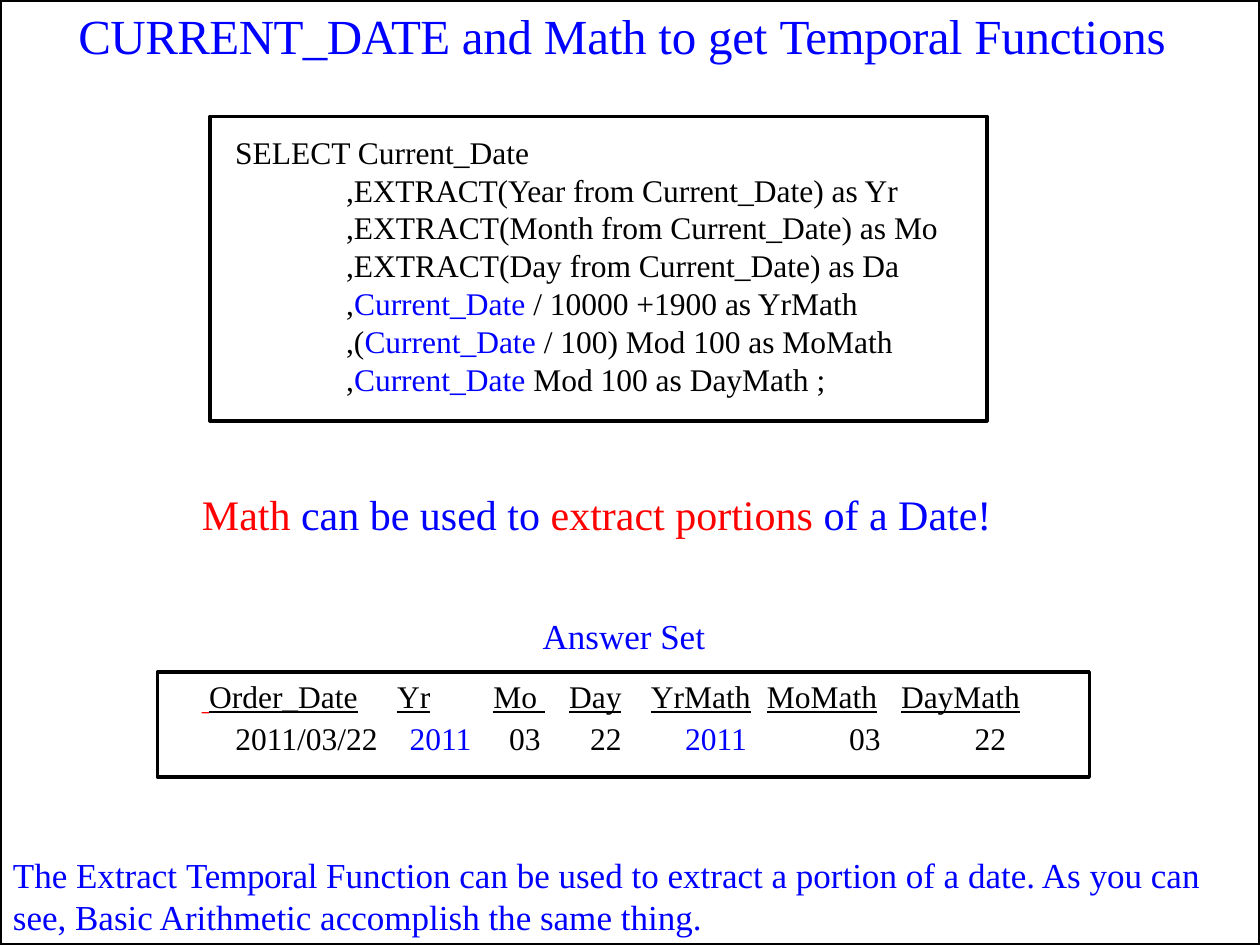
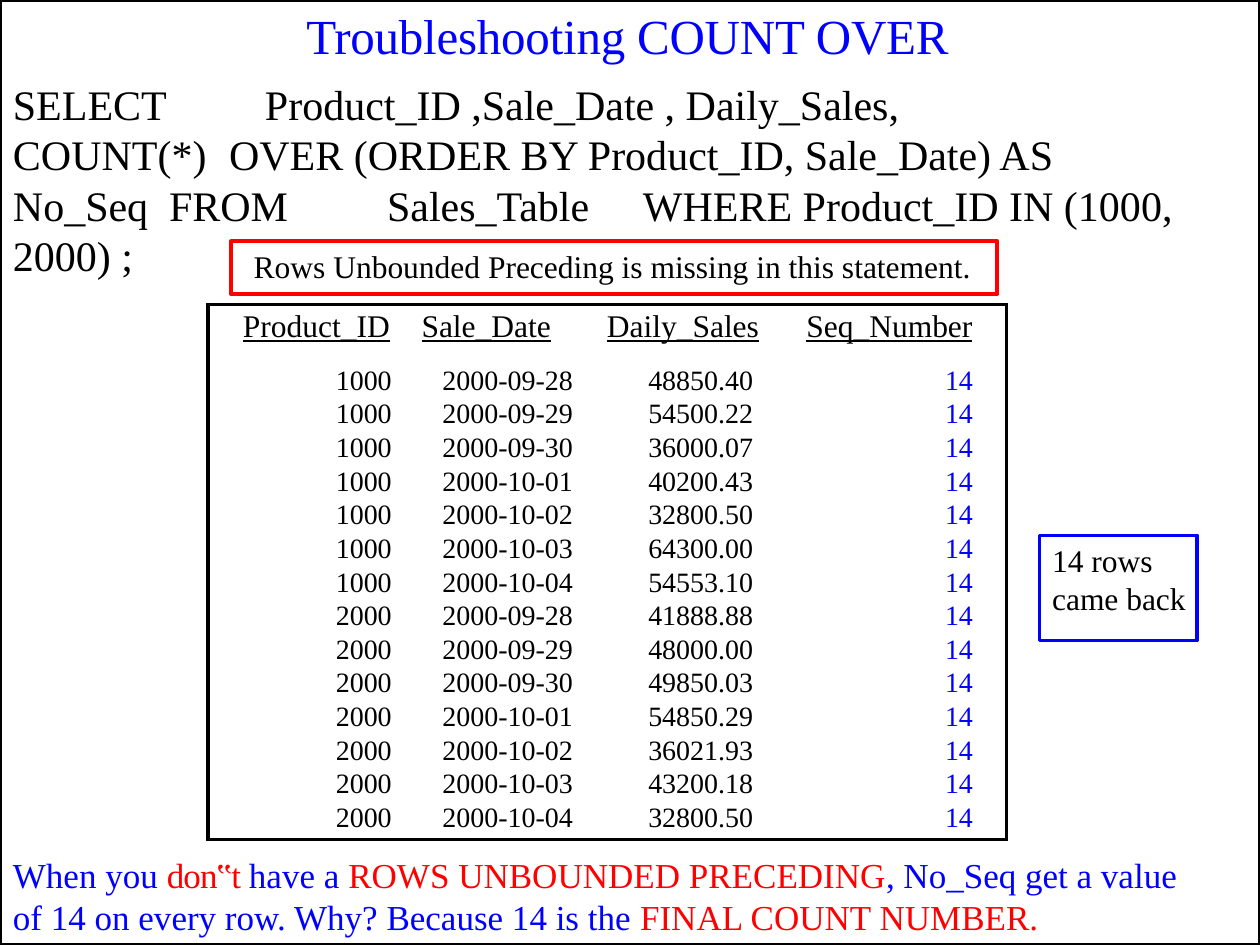
from dataclasses import dataclass

from lxml import etree
from pptx import Presentation
from pptx.dml.color import RGBColor
from pptx.enum.shapes import MSO_SHAPE
from pptx.enum.text import MSO_ANCHOR, PP_ALIGN
from pptx.oxml.ns import qn
from pptx.util import Pt

RECT = MSO_SHAPE.RECTANGLE
TOP = MSO_ANCHOR.TOP
LEFT, CENTER, RIGHT = PP_ALIGN.LEFT, PP_ALIGN.CENTER, PP_ALIGN.RIGHT

COLORS = {"black": "000000", "blue": "0000FF", "red": "FF0000"}
FONT = "Times New Roman"
SLIDE_W, SLIDE_H = 720, 540
TITLE_SIZE, FOOTER_SIZE, BODY_SIZE = 28, 20, 18
FOOTER_BOX = (6.5, 486.7, 684, 50)


@dataclass
class Run:
    text: str
    color: str = "black"
    underline: bool = False
    spacing: float = 0
    size: float = 0


@dataclass
class Para:
    runs: list
    indent: float = 0
    before: float = 0
    align: int = LEFT
    line: float = 0


def rgb(name):
    return RGBColor.from_string(COLORS[name])


def points(box):
    return [Pt(v) for v in box]


def format_para(p, para, size):
    p.alignment = para.align
    p.space_before = Pt(para.before)
    if para.line:
        p.line_spacing = Pt(para.line)
    pPr = p._p.get_or_add_pPr()
    pPr.set("marL", str(Pt(para.indent)))
    pPr.set("indent", "0")
    for run in para.runs:
        r = p.add_run()
        r.text = run.text
        r.font.name = FONT
        r.font.size = Pt(run.size or size)
        r.font.color.rgb = rgb(run.color)
        r.font.underline = run.underline
        if run.spacing:
            r._r.get_or_add_rPr().set("spc", str(round(run.spacing * 100)))


def write(tf, paras, size=BODY_SIZE, top=0.9):
    tf.word_wrap = True
    tf.vertical_anchor = TOP
    tf.margin_left = tf.margin_right = tf.margin_bottom = 0
    tf.margin_top = Pt(top)
    for i, para in enumerate(paras):
        p = tf.add_paragraph() if i else tf.paragraphs[0]
        format_para(p, para, size)


def add_text(slide, box, paras, size=BODY_SIZE, top=0.9):
    write(slide.shapes.add_textbox(*points(box)).text_frame, paras, size, top)


def add_box(slide, box, color="black", width=2.0, paras=(), top=0):
    """Outlined, unfilled rectangle with optional text."""
    sp = slide.shapes.add_shape(RECT, *points(box))
    sp.shadow.inherit = False
    sp.fill.background()
    sp.line.color.rgb = rgb(color)
    sp.line.width = Pt(width)
    write(sp.text_frame, paras, top=top)


def add_frame_and_title(slide, box, runs):
    add_box(slide, (0, 0, SLIDE_W, SLIDE_H))
    add_text(slide, box, [Para(runs, indent=0.9)], TITLE_SIZE)


def add_footer(slide, runs):
    add_text(slide, FOOTER_BOX, [Para(runs, indent=0.9)], FOOTER_SIZE)


def add_query(slide, box):
    date = Run("Current_Date ", "blue")
    columns = [
        [Run(",EXTRACT(Year ", spacing=-0.1), Run("from Current_Date) as Yr")],
        [Run(",EXTRACT(Month from Current_Date) as Mo")],
        [Run(",EXTRACT(Day from Current_Date) as Da")],
        [Run(","), date, Run("/ 10000 +1900 as YrMath")],
        [Run(",("), date, Run("/ 100) Mod 100 as MoMath")],
        [Run(","), date, Run("Mod 100 as DayMath ;")],
    ]
    paras = [Para([Run("SELECT Current_Date")], indent=14.4)]
    paras += [Para(runs, indent=77.8) for runs in columns]
    add_box(slide, box, paras=paras, top=9.4)


def add_message(slide, box):
    message = [Run("Math ", "red"), Run("can be used to ", "blue"),
               Run("extract portions ", "red"), Run("of a Date!", "blue")]
    caption = [Run("Answer Set", "blue", size=20)]
    add_text(slide, box, [
        Para(message, indent=0.9),
        Para(caption, indent=31, before=43.4, align=CENTER),
    ], 24)


def add_answer_set(slide, box):
    x, y, w, h = box
    add_box(slide, box)
    mark = slide.shapes.add_shape(RECT, *points((x + 25.2, y + 23, 4.3, 0.7)))
    mark.shadow.inherit = False
    mark.fill.solid()
    mark.fill.fore_color.rgb = rgb("red")
    mark.line.fill.background()

    # left edge, heading, indent of the value, value
    columns = [
        (29.5, "Order_Date", 15, "2011/03/22"),
        (136.9, "Yr", 7.2, "2011"),
        (192, "Mo ", 9, "03"),
        (235.2, "Day", 12, "22"),
        (282, "YrMath", 19.5, "2011"),
        (348.3, "MoMath", 47, "03"),
        (424.9, "DayMath", 42, "22"),
    ]
    right_edges = [column[0] for column in columns[1:]] + [w]
    for (left, head, indent, value), right in zip(columns, right_edges):
        color = "blue" if value == "2011" else "black"
        add_text(slide, (x + left, y, right - left, 50.4), [
            Para([Run(head, underline=True)]),
            Para([Run(value, color)], indent=indent, before=2.4),
        ], top=2.9)


def add_count_query(slide, box):
    x, y, w, h = box
    # each line holds its pieces with their left offsets
    lines = [
        [(0, "SELECT"), (144, "Product_ID ,Sale_Date , Daily_Sales,")],
        [(0, "COUNT(*)"),
         (123.5, "OVER (ORDER BY Product_ID, Sale_Date) AS")],
        [(0, "No_Seq"), (89.2, "FROM"), (213.8, "Sales_Table"),
         (360, "WHERE Product_ID IN (1000,")],
        [(0, "2000) ;")],
    ]
    pitch = h / len(lines)
    for i, pieces in enumerate(lines):
        right_edges = [left for left, text in pieces[1:]] + [w]
        for (left, text), right in zip(pieces, right_edges):
            add_text(slide, (x + left, y + i * pitch, right - left, pitch),
                     [Para([Run(text)], indent=0.9)], 24)


def set_border(cell, sides):
    """Draw the named sides in black and leave the others bare."""
    tcPr = cell._tc.get_or_add_tcPr()
    for i, side in enumerate(("lnL", "lnR", "lnT", "lnB")):
        ln = etree.Element(qn("a:" + side), w=str(Pt(2.25)))
        if side in sides:
            fill = etree.SubElement(ln, qn("a:solidFill"))
            etree.SubElement(fill, qn("a:srgbClr"), val=COLORS["black"])
        else:
            etree.SubElement(ln, qn("a:noFill"))
        tcPr.insert(i, ln)


def add_sales_table(slide, box):
    heads = ["Product_ID", "Sale_Date", "Daily_Sales", "Seq_Number"]
    dates = ["2000-09-28", "2000-09-29", "2000-09-30", "2000-10-01",
             "2000-10-02", "2000-10-03", "2000-10-04"]
    sales = ["48850.40", "54500.22", "36000.07", "40200.43", "32800.50",
             "64300.00", "54553.10", "41888.88", "48000.00", "49850.03",
             "54850.29", "36021.93", "43200.18", "32800.50"]
    keys = [(product, date) for product in ("1000", "2000") for date in dates]
    rows = [heads] + [[*key, sale, "14"] for key, sale in zip(keys, sales)]
    col_widths = [113, 105, 109.5, 129]
    row_heights = [30, 23.5] + [19.22] * 12 + [21.5]
    head_margins, body_margins = (9, 22, 12.5, 19.5), (8, 9.5, 16, 19.3)

    last_row, last_col = len(rows) - 1, len(heads) - 1
    table = slide.shapes.add_table(len(rows), len(heads), *points(box)).table
    table.first_row = table.horz_banding = False
    for column, width in zip(table.columns, col_widths):
        column.width = Pt(width)
    for i, row in enumerate(rows):
        table.rows[i].height = Pt(row_heights[i])
        for j, text in enumerate(row):
            cell = table.cell(i, j)
            cell.fill.background()
            cell.vertical_anchor = TOP
            cell.margin_left = cell.margin_bottom = 0
            cell.margin_top = Pt({0: 3, 1: 3.5}.get(i, 0))
            cell.margin_right = Pt((body_margins if i else head_margins)[j])
            color = "blue" if i and j == last_col else "black"
            line = {0: 0, 1: 19.1}.get(i, 18.2)
            para = Para([Run(text, color, i == 0)], align=RIGHT, line=line)
            format_para(cell.text_frame.paragraphs[0], para, 16 if i else 18)
            edges = {"lnL": j == 0, "lnR": j == last_col,
                     "lnT": i == 0, "lnB": i == last_row}
            set_border(cell, [side for side, on in edges.items() if on])


def build_temporal_slide(slide):
    add_frame_and_title(slide, (43.9, 2.2, 640, 35.3), [
        Run("CURRENT_DATE ", "blue", spacing=-0.3),
        Run("and Math to get ", "blue", spacing=-0.1),
        Run("Temporal ", "blue", spacing=-0.3),
        Run("Functions", "blue", spacing=-0.1)])
    add_query(slide, (120, 66.5, 444, 174))
    add_message(slide, (114.5, 278, 453, 96.5))
    add_answer_set(slide, (90, 384, 532.5, 60))
    add_footer(slide, [
        Run("The Extract ", "blue"), Run("Temporal ", "blue", spacing=-0.2),
        Run("Function can be used to extract a portion of a date. As you can "
            "see, Basic Arithmetic accomplish the same thing.", "blue")])


def build_count_slide(slide):
    add_frame_and_title(slide, (174.2, 2.2, 390, 35.3), [
        Run("Troubleshooting COUNT OVER", "blue", spacing=-0.1)])
    add_sales_table(slide, (118.8, 174, 456.5, 305.6))
    add_count_query(slide, (6.5, 43.9, 680, 115.2))
    add_footer(slide, [
        Run("When you ", "blue"), Run("don‟t ", "red", spacing=-0.5),
        Run("have a ", "blue"), Run("ROWS UNBOUNDED PRECEDING", "red"),
        Run(", No_Seq get a value of 14 on every row. ", "blue"),
        Run("Why? Because 14 is the ", "blue"),
        Run("FINAL COUNT NUMBER.", "red")])
    missing = "Rows Unbounded Preceding is missing in this statement."
    add_box(slide, (132, 138, 438, 30), "red", 2.25,
            [Para([Run(missing)], indent=13)], top=3)
    add_box(slide, (594, 306, 90, 60), "blue", 2.25,
            [Para([Run("14 rows came back")], indent=7.2)], top=3)


def main():
    prs = Presentation()
    prs.slide_width, prs.slide_height = Pt(SLIDE_W), Pt(SLIDE_H)
    blank = prs.slide_layouts[6]
    for build in (build_temporal_slide, build_count_slide):
        build(prs.slides.add_slide(blank))
    prs.save("out.pptx")


if __name__ == "__main__":
    main()
